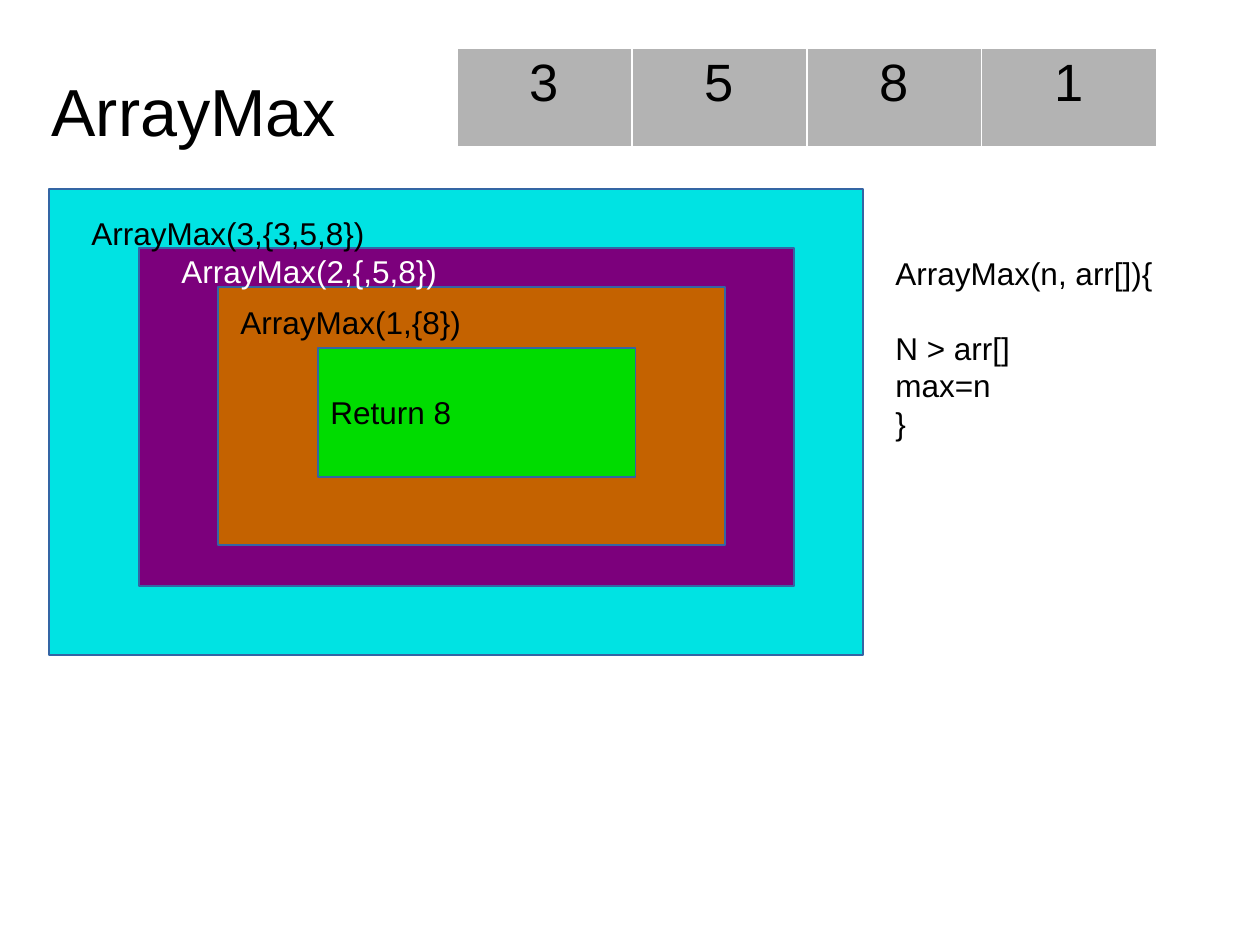
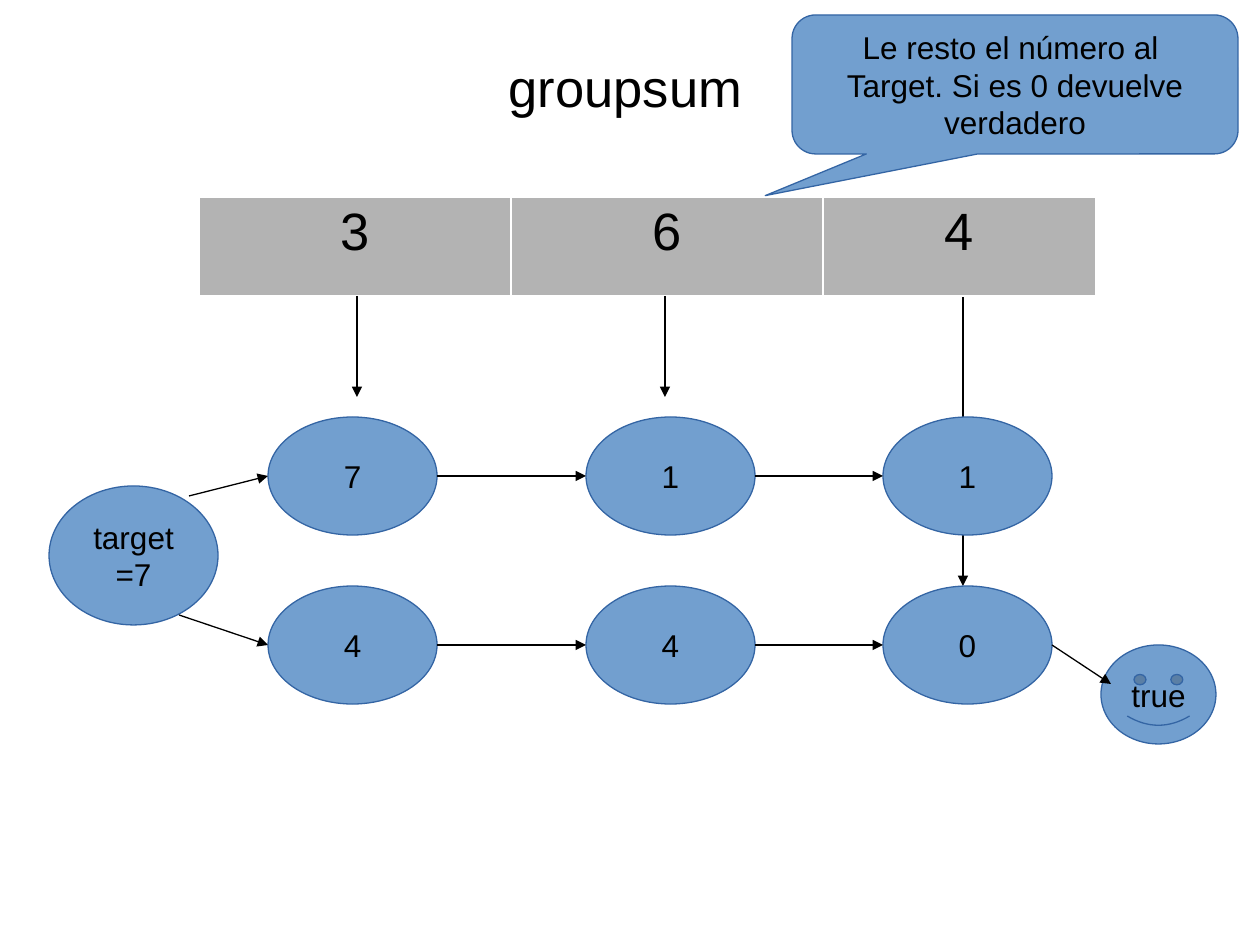
from itertools import pairwise

from pptx import Presentation
from pptx.dml.color import RGBColor
from pptx.enum.shapes import MSO_CONNECTOR, MSO_SHAPE
from pptx.enum.text import MSO_ANCHOR, MSO_AUTO_SIZE, PP_ALIGN
from pptx.oxml import parse_xml
from pptx.oxml.ns import nsdecls, qn
from pptx.oxml.xmlchemy import OxmlElement
from pptx.util import Emu, Pt

PX_PER_INCH = 126
FONT = "Arial"
BODY_SIZE = 18
HEADING_SIZE = 30
HAIRLINE = Pt(0.75)

BLACK = RGBColor(0x00, 0x00, 0x00)
NEAR_WHITE = RGBColor(0xFF, 0xFF, 0xFE)
GREY = RGBColor(0xB3, 0xB3, 0xB3)
BLUE = RGBColor(0x72, 0x9F, 0xCF)
OUTLINE = RGBColor(0x34, 0x65, 0xA4)
CYAN = RGBColor(0x00, 0xE3, 0xE3)
PURPLE = RGBColor(0x7C, 0x00, 0x7C)
ORANGE = RGBColor(0xC4, 0x62, 0x00)
GREEN = RGBColor(0x00, 0xDC, 0x00)

# Nested calls: box (left, top, width, height), fill, label, label position, label colour
CALLS = [
    ((49, 189, 814, 466), CYAN, "ArrayMax(3,{3,5,8})", (79, 208), BLACK),
    ((139, 248, 655, 338), PURPLE, "ArrayMax(2,{,5,8})", (169, 246), NEAR_WHITE),
    ((218, 287, 507, 258), ORANGE, "ArrayMax(1,{8})", (228, 297), BLACK),
    ((318, 348, 318, 129), GREEN, "Return 8", (318, 387), BLACK),
]
CODE = ["ArrayMax(n, arr[]){", "N > arr[]", "max=n", "}"]

NODE_WIDTH, NODE_HEIGHT = 169, 118
NODE_LEFTS = [268, 586, 883]
NODE_ROWS = [(417, ["7", "1", "1"]), (586, ["4", "4", "0"])]


def px(*lengths):
    return [Emu(round(length * 914400 / PX_PER_INCH)) for length in lengths]


def write(frame, lines, size=BODY_SIZE, color=BLACK, align=PP_ALIGN.LEFT):
    frame.text = "\n".join(lines)
    for paragraph in frame.paragraphs:
        paragraph.alignment = align
        paragraph.font.name = FONT
        paragraph.font.size = Pt(size)
        paragraph.font.color.rgb = color


def add_page(deck, title, area, size):
    page = deck.slides.add_slide(deck.slide_layouts[5])
    heading = page.shapes.title
    heading.left, heading.top, heading.width, heading.height = px(*area)
    frame = heading.text_frame
    frame.auto_size = MSO_AUTO_SIZE.NONE
    frame.vertical_anchor = MSO_ANCHOR.TOP
    write(frame, [title], size)
    return page


def add_label(page, lines, area, color=BLACK):
    box = page.shapes.add_textbox(*px(*area))
    box.text_frame.word_wrap = True
    write(box.text_frame, lines, color=color)
    return box


def add_figure(page, kind, area, lines=(), fill=BLUE):
    figure = page.shapes.add_shape(kind, *px(*area))
    figure.shadow.inherit = False
    figure.fill.solid()
    figure.fill.fore_color.rgb = fill
    figure.line.color.rgb = OUTLINE
    figure.line.width = HAIRLINE
    if lines:
        figure.text_frame.vertical_anchor = MSO_ANCHOR.MIDDLE
        write(figure.text_frame, lines, align=PP_ALIGN.CENTER)
    return figure


def add_arrow(page, start, end):
    arrow = page.shapes.add_connector(MSO_CONNECTOR.STRAIGHT, *px(*start, *end))
    arrow.line.color.rgb = BLACK
    arrow.line.width = HAIRLINE
    properties = arrow.element.spPr
    head = OxmlElement("a:tailEnd")
    head.set("type", "triangle")
    properties.find(qn("a:ln")).append(head)
    properties.append(OxmlElement("a:effectLst"))


def add_cell_borders(cell):
    properties = cell._tc.get_or_add_tcPr()
    for side in "LRTB":
        properties.append(parse_xml(
            f'<a:ln{side} {nsdecls("a")} w="{HAIRLINE}"><a:solidFill>'
            f'<a:srgbClr val="FFFFFF"/></a:solidFill></a:ln{side}>'))


def add_array(page, values, widths, left, top, height=99):
    """Draw an array as a one-row table."""
    area = px(left, top, sum(widths), height)
    table = page.shapes.add_table(1, len(values), *area).table
    table.first_row = table.horz_banding = False
    for column, width, cell, value in zip(
            table.columns, widths, table.rows[0].cells, values):
        column.width = px(width)[0]
        add_cell_borders(cell)
        cell.fill.solid()
        cell.fill.fore_color.rgb = GREY
        write(cell.text_frame, [value], HEADING_SIZE, align=PP_ALIGN.CENTER)


def build_array_max(deck):
    page = add_page(deck, "ArrayMax", (39, 64, 387, 87), 38)
    for area, fill, *_ in CALLS:
        add_figure(page, MSO_SHAPE.RECTANGLE, area, fill=fill)
    add_array(page, "3581", [175] * 4, 457, 48)
    for _, _, label, position, color in CALLS:
        add_label(page, [label], (*position, 348, 48), color)
    code = add_label(page, CODE, (883, 248, 328, 189))
    code.text_frame.paragraphs[1].space_before = Pt(21)


def build_groupsum(deck):
    page = add_page(deck, "groupsum", (496, 49, 318, 71), HEADING_SIZE)
    add_arrow(page, (963, 296), (963, 586))
    add_array(page, "364", [312, 312, 273], 199, 197)
    for x in (357, 665):
        add_arrow(page, (x, 296), (x, 397))

    add_figure(page, MSO_SHAPE.OVAL, (49, 486, NODE_WIDTH, 139), ["target=7"])
    for (top, values), start in zip(NODE_ROWS, [(189, 496), (179, 615)]):
        middle = top + NODE_HEIGHT // 2
        for left, value in zip(NODE_LEFTS, values):
            area = (left, top, NODE_WIDTH, NODE_HEIGHT)
            add_figure(page, MSO_SHAPE.OVAL, area, [value])
        add_arrow(page, start, (NODE_LEFTS[0], middle))
        for left, next_left in pairwise(NODE_LEFTS):
            add_arrow(page, (left + NODE_WIDTH, middle), (next_left, middle))

    callout = add_figure(
        page, MSO_SHAPE.ROUNDED_RECTANGULAR_CALLOUT, (792, 15, 446, 139),
        ["Le resto el número al ", "Target. Si es 0 devuelve verdadero"])
    for index, value in enumerate((-0.56, 0.8, 0.17)):
        callout.adjustments[index] = value
    add_figure(page, MSO_SHAPE.SMILEY_FACE, (1101, 645, 115, 99), ["true"])
    add_arrow(page, (1052, 645), (1111, 684))


def main():
    deck = Presentation()
    deck.slide_width, deck.slide_height = px(1260, 945)
    build_array_max(deck)
    build_groupsum(deck)
    deck.save("out.pptx")


if __name__ == "__main__":
    main()
